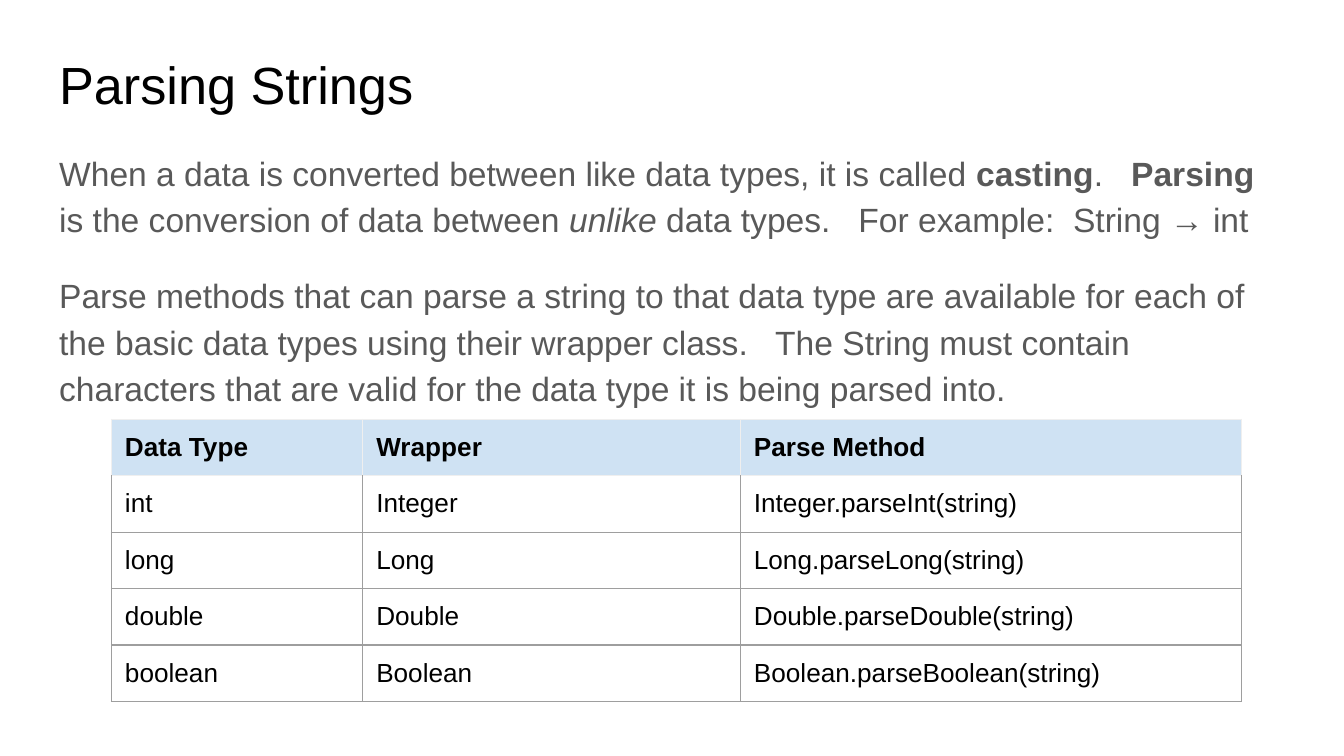
from lxml.etree import SubElement
from pptx import Presentation
from pptx.dml.color import RGBColor
from pptx.enum.text import MSO_ANCHOR, MSO_AUTO_SIZE, PP_ALIGN
from pptx.oxml import parse_xml
from pptx.oxml.ns import nsdecls, qn
from pptx.util import Inches, Pt

COLORS = {
    "black": "000000",
    "body": "595959",
    "header": "CFE2F3",
    "header_line": "EFEFEF",
    "line": "9E9E9E",
}
BODY = [
    [
        ("When a data is converted between like data types, it is called ", ""),
        ("casting", "bold"),
        (".   ", ""),
        ("Parsing ", "bold"),
        ("is the conversion of data between ", ""),
        ("unlike ", "italic"),
        ("data types.   For example:  String → int", ""),
    ],
    [
        ("Parse methods that can parse a string to that data type are available "
         "for each of the basic data types using their wrapper class.   The String "
         "must contain characters that are valid for the data type it is being "
         "parsed into.", ""),
    ],
]
ROWS = [
    ("Data Type", "Wrapper", "Parse Method"),
    ("int", "Integer", "Integer.parseInt(string)"),
    ("long", "Long", "Long.parseLong(string)"),
    ("double", "Double", "Double.parseDouble(string)"),
    ("boolean", "Boolean", "Boolean.parseBoolean(string)"),
]


def color(name):
    """Return the named colour."""
    return RGBColor.from_string(COLORS[name])


def format_font(paragraph, size, color_name, bold=False):
    """Set the font shared by all runs of a paragraph."""
    font = paragraph.font
    font.name, font.size, font.bold = "Arial", Pt(size), bold
    font.color.rgb = color(color_name)


def place_placeholder(shape, left, top, width, height):
    """Move a placeholder and return its text frame with even margins."""
    shape.left, shape.top = Inches(left), Inches(top)
    shape.width, shape.height = Inches(width), Inches(height)
    frame = shape.text_frame
    frame.margin_left = frame.margin_right = Inches(0.1)
    frame.margin_top = frame.margin_bottom = Inches(0.1)
    frame.vertical_anchor = MSO_ANCHOR.TOP
    frame.auto_size = MSO_AUTO_SIZE.NONE
    frame.word_wrap = True
    return frame


def fill_title(shape, left, top, width, height):
    """Write the slide title."""
    frame = place_placeholder(shape, left, top, width, height)
    frame.text = "Parsing Strings"
    paragraph = frame.paragraphs[0]
    paragraph.alignment = PP_ALIGN.LEFT
    format_font(paragraph, 28, "black")


def fill_body(shape, left, top, width, height):
    """Write the explanation as unbulleted paragraphs."""
    frame = place_placeholder(shape, left, top, width, height)
    for index, parts in enumerate(BODY):
        paragraph = frame.add_paragraph() if index else frame.paragraphs[0]
        properties = paragraph._p.get_or_add_pPr()
        properties.set("marL", "0")
        properties.set("indent", "0")
        SubElement(properties, qn("a:buNone"))
        paragraph.line_spacing = 1.15
        paragraph.space_before = paragraph.space_after = Pt(16 if index else 0)
        format_font(paragraph, 18, "body")
        for text, style in parts:
            run = paragraph.add_run()
            run.text = text
            if style:
                setattr(run.font, style, True)


def set_borders(cell, **sides):
    """Draw thin cell borders, given as side letter and colour name."""
    properties = cell._tc.get_or_add_tcPr()
    for position, side in enumerate("LRTB"):
        properties.insert(position, parse_xml(
            f'<a:ln{side} {nsdecls("a")} w="9525"><a:solidFill>'
            f'<a:srgbClr val="{COLORS[sides[side]]}"/></a:solidFill></a:ln{side}>'))


def add_method_table(slide, left, top, column_widths, row_height):
    """Add the table of data types, wrappers and parse methods."""
    table = slide.shapes.add_table(
        len(ROWS), len(column_widths), Inches(left), Inches(top),
        Inches(sum(column_widths)), Inches(row_height * len(ROWS))).table
    table.first_row = table.horz_banding = False
    for column, width in zip(table.columns, column_widths):
        column.width = Inches(width)
    for row_index, texts in enumerate(ROWS):
        is_header = row_index == 0
        line = "header_line" if is_header else "line"
        top_line = "header_line" if row_index < 2 else "line"
        for column_index, text in enumerate(texts):
            cell = table.cell(row_index, column_index)
            cell.text = text
            cell.margin_left = cell.margin_right = Inches(0.1)
            cell.margin_top = cell.margin_bottom = Inches(0.1)
            format_font(cell.text_frame.paragraphs[0], 14, "black", is_header)
            if is_header:
                cell.fill.solid()
                cell.fill.fore_color.rgb = color("header")
            else:
                cell.fill.background()
            set_borders(cell, L=line, R=line, T=top_line, B=line)


def main():
    """Build and save the slide."""
    presentation = Presentation()
    presentation.slide_width = Inches(10)
    presentation.slide_height = Inches(10 * 9 / 16)
    slide = presentation.slides.add_slide(presentation.slide_layouts[1])
    fill_title(slide.shapes.title, 0.34, 0.29, 9.32, 0.63)
    fill_body(slide.placeholders[1], 0.34, 0.99, 9.32, 2.01)
    add_method_table(slide, 0.83, 3.12, (1.87, 2.81, 3.73), 0.42)
    presentation.save("out.pptx")


if __name__ == "__main__":
    main()
